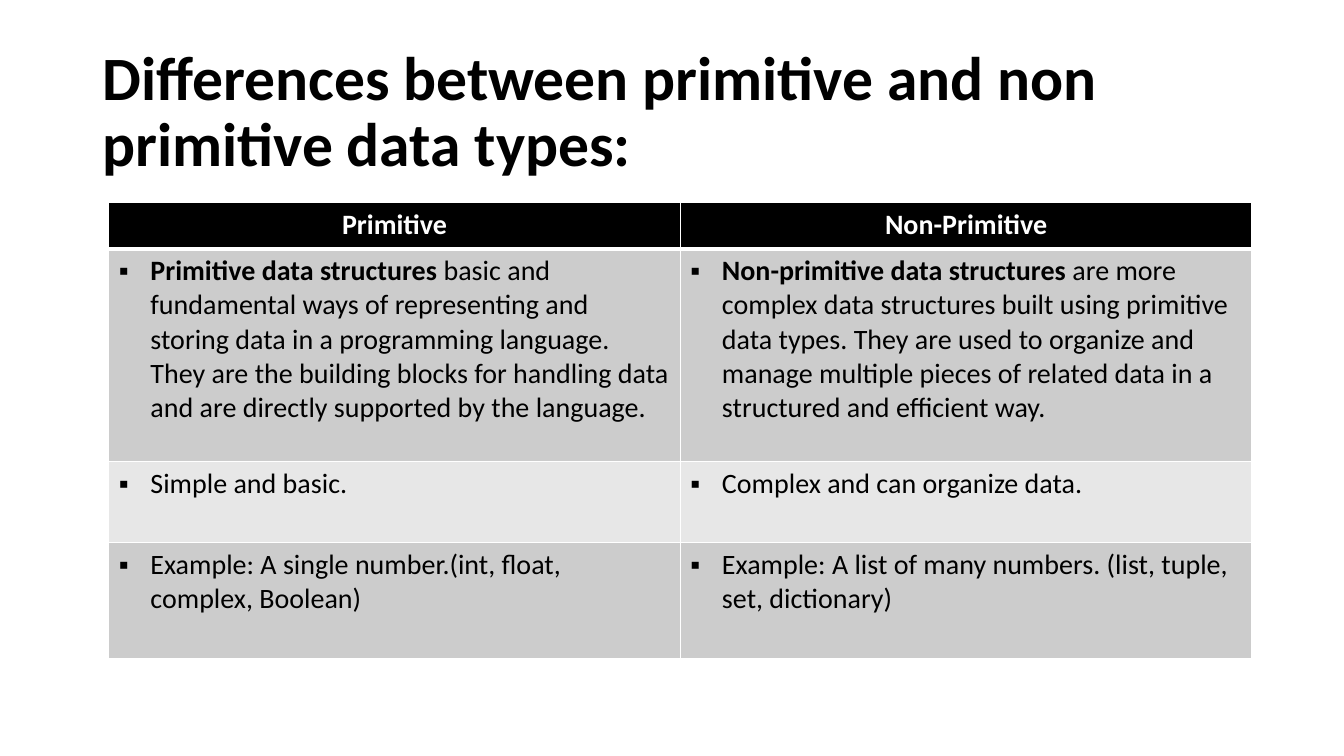
import lxml.etree
import pptx
import pptx.dml.color
import pptx.enum.text
import pptx.oxml.ns
import pptx.util

Pt = pptx.util.Pt
FONT = "Calibri"
BLACK, WHITE, GREY, LIGHT_GREY = "000000", "FFFFFF", "CCCCCC", "E7E7E7"
ROW_HEIGHTS = (33, 152, 57.6, 83)
ROW_FILLS = (BLACK, GREY, LIGHT_GREY, GREY)
HEADINGS = ("Primitive", "Non-Primitive")
BODY_ROWS = (
    (
        (("Primitive data structures", True),
         (" basic and fundamental ways of representing and storing data in a "
          "programming language. They are the building blocks for handling data "
          "and are directly supported by the language.", False)),
        (("Non-primitive data structures", True),
         (" are more complex data structures built using primitive data types. "
          "They are used to organize and manage multiple pieces of related data "
          "in a structured and efficient way.", False)),
    ),
    (
        (("Simple and basic.", False),),
        (("Complex and can organize data.", False),),
    ),
    (
        (("Example: A single number.(int, float,\ncomplex, Boolean)", False),),
        (("Example: A list of many numbers. (list, tuple, set, dictionary)", False),),
    ),
)


def color(value):
    return pptx.dml.color.RGBColor.from_string(value)


def add_run(paragraph, text, size, fill, bold):
    for index, line in enumerate(text.split("\n")):
        if index:
            paragraph.add_line_break()
        run = paragraph.add_run()
        run.text = line
        run.font.name = FONT
        run.font.size = Pt(size)
        run.font.bold = bold
        run.font.color.rgb = color(fill)


def add_child(parent, tag, **attributes):
    return lxml.etree.SubElement(parent, pptx.oxml.ns.qn(tag), attributes)


def add_bullet(paragraph):
    properties = paragraph._p.get_or_add_pPr()
    indent = Pt(22.5)
    properties.set("marL", str(indent))
    properties.set("indent", str(-indent))
    add_child(properties, "a:buFont", typeface="Arial")
    add_child(properties, "a:buChar", char="▪")


def style_cell(cell, fill, top, bottom):
    properties = cell._tc.get_or_add_tcPr()
    for side, width in (("L", 1), ("R", 1), ("T", top), ("B", bottom)):
        line = add_child(properties, f"a:ln{side}", w=str(Pt(width)))
        add_child(add_child(line, "a:solidFill"), "a:srgbClr", val=WHITE)
    cell.fill.solid()
    cell.fill.fore_color.rgb = color(fill)


def add_title(slide, left, top, width, height):
    shape = slide.shapes.add_textbox(Pt(left), Pt(top), Pt(width), Pt(height))
    frame = shape.text_frame
    frame.word_wrap = True
    frame.vertical_anchor = pptx.enum.text.MSO_ANCHOR.MIDDLE
    paragraph = frame.paragraphs[0]
    paragraph.line_spacing = 0.9
    add_run(paragraph, "Differences between primitive and non primitive data types:",
            44, BLACK, True)


def add_comparison(slide, left, top, width):
    table = slide.shapes.add_table(
        len(ROW_HEIGHTS), len(HEADINGS),
        Pt(left), Pt(top), Pt(width), Pt(sum(ROW_HEIGHTS))).table
    for column in table.columns:
        column.width = Pt(width / len(HEADINGS))
    for index, (height, fill) in enumerate(zip(ROW_HEIGHTS, ROW_FILLS)):
        table.rows[index].height = Pt(height)
        for cell in table.rows[index].cells:
            style_cell(cell, fill, 3 if index == 1 else 1, 3 if index == 0 else 1)
    for cell, heading in zip(table.rows[0].cells, HEADINGS):
        paragraph = cell.text_frame.paragraphs[0]
        paragraph.alignment = pptx.enum.text.PP_ALIGN.CENTER
        add_run(paragraph, heading, 20, WHITE, True)
    for index, contents in enumerate(BODY_ROWS, 1):
        for cell, runs in zip(table.rows[index].cells, contents):
            paragraph = cell.text_frame.paragraphs[0]
            add_bullet(paragraph)
            for text, bold in runs:
                add_run(paragraph, text, 20, BLACK, bold)


def main():
    presentation = pptx.Presentation()
    presentation.slide_width = Pt(960)
    presentation.slide_height = Pt(540)
    slide = presentation.slides.add_slide(presentation.slide_layouts[6])
    add_title(slide, 66, 28.75, 828, 104.4)
    add_comparison(slide, 77.75, 144.75, 816.5)
    presentation.save("out.pptx")


if __name__ == "__main__":
    main()
